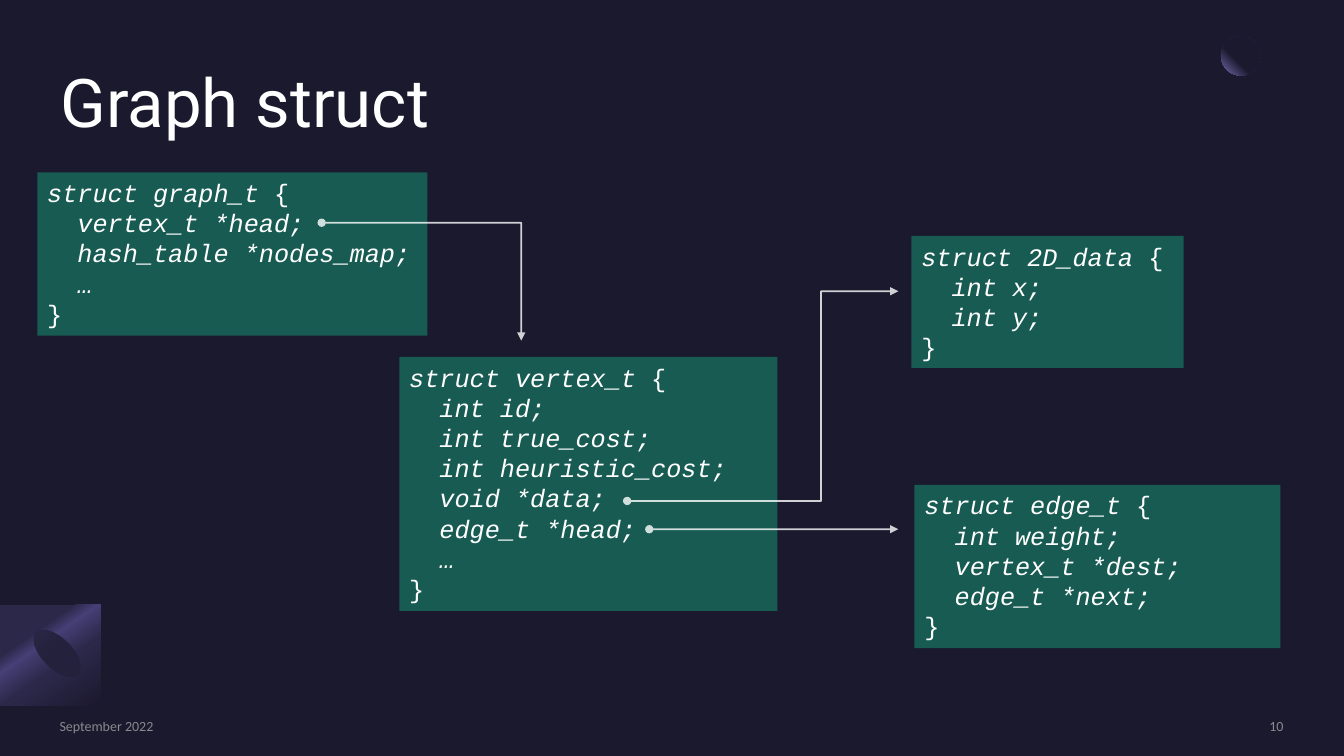
from lxml import etree
from pptx import Presentation
from pptx.dml.color import RGBColor
from pptx.enum.shapes import MSO_CONNECTOR, MSO_SHAPE
from pptx.enum.text import MSO_ANCHOR, MSO_AUTO_SIZE, PP_ALIGN
from pptx.oxml import parse_xml
from pptx.oxml.ns import nsdecls, qn
from pptx.util import Inches, Pt

RECTANGLE, OVAL = MSO_SHAPE.RECTANGLE, MSO_SHAPE.OVAL
STRAIGHT, ELBOW = MSO_CONNECTOR.STRAIGHT, MSO_CONNECTOR.ELBOW
TOP, MIDDLE = MSO_ANCHOR.TOP, MSO_ANCHOR.MIDDLE
LEFT, RIGHT = PP_ALIGN.LEFT, PP_ALIGN.RIGHT
NO_FIT, GROW = MSO_AUTO_SIZE.NONE, MSO_AUTO_SIZE.SHAPE_TO_FIT_TEXT

COLORS = {
    "night": "1B192E", "white": "FFFFFF", "green": "13BE89", "gray": "A6A6A6",
    "lilac": "7771B2", "violet": "454075", "plum": "2C284A", "shade": "23213C",
}

TITLE = ("Graph struct", (0.6, 0.6, 12.13, 0.91))

# Name, members and position of each struct
STRUCTS = [
    ("2D_data", ["int x;", "int y;"], (9.04, 2.34, 2.7, 1.31)),
    ("vertex_t", ["int id;", "int true_cost;", "int heuristic_cost;",
                  "void *data;", "edge_t *head;", "…"], (3.96, 3.54, 3.75, 2.52)),
    ("edge_t", ["int weight;", "vertex_t *dest;", "edge_t *next;"],
     (9.07, 4.81, 3.63, 1.62)),
    ("graph_t", ["vertex_t *head;", "hash_table *nodes_map;", "…"],
     (0.37, 1.71, 3.87, 1.62)),
]

# Kind, start, end and bend position in percent of the width
POINTERS = [
    (ELBOW, (6.22, 4.97), (8.91, 2.89), 71.5),
    (STRAIGHT, (6.44, 5.25), (8.91, 5.25), None),
    (ELBOW, (3.19, 2.21), (5.17, 3.38), 100),
]

FOOTERS = [
    ("September 2022", (0.59, 7.12, 2.88, 0.17), LEFT),
    ("10", (10.88, 7.12, 1.85, 0.17), RIGHT),
]

# Cone outline: the apex, then the curved base edge as Bezier segments
CONE_APEX = (0.95, 6.1)
CONE_BASE = [
    [(0.79, 6.66), (0.79, 6.67), (0.78, 6.68), (0.78, 6.69)],
    [(0.78, 6.69), (0.72, 6.75), (0.58, 6.7), (0.46, 6.59)],
    [(0.46, 6.59), (0.35, 6.47), (0.3, 6.33), (0.36, 6.27)],
    [(0.36, 6.27), (0.37, 6.26), (0.38, 6.26), (0.39, 6.25)],
]

CODE_FONT = {"name": "Courier New", "size": Pt(18)}
TITLE_FONT = {"name": "Roboto", "size": Pt(48)}
FOOTER_FONT = {"name": "Calibri", "size": Pt(10)}


def rgb(name):
    return RGBColor.from_string(COLORS[name])


def inches(values):
    return [Inches(value) for value in values]


def set_opacity(element, percent):
    for color in element.iter(qn("a:srgbClr")):
        etree.SubElement(color, qn("a:alpha"), val=str(percent * 1000))


def add_span(para, text, font, color, **extra):
    span = para.add_run()
    span.text = text
    for name, value in {**font, **extra}.items():
        setattr(span.font, name, value)
    span.font.color.rgb = rgb(color)


def format_frame(frame, anchor, fit, margin=None):
    frame.word_wrap = True
    frame.auto_size = fit
    frame.vertical_anchor = anchor
    if margin is not None:
        for side in ("left", "top", "right", "bottom"):
            setattr(frame, f"margin_{side}", margin)


def fill_gradient(shape, stops, direction):
    """Fill with (percent, color) stops along the given direction element."""
    marks = "".join(f'<a:gs pos="{place * 1000}"><a:srgbClr val="{COLORS[color]}"/></a:gs>'
                    for place, color in stops)
    shape.shadow.inherit = False
    shape.line.fill.background()
    shape.fill.background()
    blank = shape.element.spPr.find(qn("a:noFill"))
    gradient = parse_xml(f'<a:gradFill {nsdecls("a")} rotWithShape="1">'
                         f"<a:gsLst>{marks}</a:gsLst>{direction}</a:gradFill>")
    shape.element.spPr.replace(blank, gradient)


def linear(degrees):
    return f'<a:lin ang="{degrees * 60000}" scaled="0"/>'


def bezier_points(controls, steps=8):
    for step in range(1, steps + 1):
        t = step / steps
        weights = ((1 - t) ** 3, 3 * t * (1 - t) ** 2, 3 * t * t * (1 - t), t ** 3)
        yield tuple(sum(w * point[axis] for w, point in zip(weights, controls))
                    for axis in (0, 1))


def add_decoration(shapes):
    moon = shapes.add_shape(OVAL, *inches((12.11, 0.36, 0.39, 0.39)))
    fill_gradient(moon, [(60, "night"), (100, "lilac")],
                  '<a:path path="circle"><a:fillToRect l="100000" b="100000"/></a:path>')

    outline = shapes.build_freeform(*CONE_APEX, scale=Inches(1))
    edge = [CONE_BASE[0][0]]
    for controls in CONE_BASE:
        edge.extend(bezier_points(controls))
    outline.add_line_segments(edge, close=True)
    cone = outline.convert_to_shape()
    fill_gradient(cone, [(30, "plum"), (40, "violet"), (60, "plum"), (100, "night")],
                  linear(55))

    base = shapes.add_shape(OVAL, *inches((0.42, 6.19, 0.3, 0.59)))
    base.rotation = 135
    fill_gradient(base, [(50, "shade"), (100, "plum")], linear(90))


def add_struct(shapes, name, members, place):
    box = shapes.add_shape(RECTANGLE, *inches(place))
    box.shadow.inherit = False
    box.line.fill.background()
    box.fill.solid()
    box.fill.fore_color.rgb = rgb("green")
    set_opacity(box.element.spPr, 40)
    frame = box.text_frame
    format_frame(frame, TOP, GROW)
    lines = [[(f"struct {name} ", True), ("{", False)]]
    lines += [[(member, True)] for member in members]
    lines.append([("}", False)])
    for index, spans in enumerate(lines):
        para = frame.paragraphs[0] if index == 0 else frame.add_paragraph()
        para.alignment = LEFT
        if 0 < index < len(lines) - 1:
            para.element.get_or_add_pPr().set("marL", str(Inches(0.3))) if hasattr(
                para, "element") else para._p.get_or_add_pPr().set("marL", str(Inches(0.3)))
        for text, italic in spans:
            add_span(para, text, CODE_FONT, "white", italic=italic)


def add_pointer(shapes, kind, start, end, bend):
    pointer = shapes.add_connector(kind, *inches(start + end))
    pointer.line.width = Pt(1.25)
    pointer.line.color.rgb = rgb("white")
    properties = pointer.element.spPr
    set_opacity(properties, 80)
    line = properties.find(qn("a:ln"))
    etree.SubElement(line, qn("a:headEnd"), type="oval")
    etree.SubElement(line, qn("a:tailEnd"), type="triangle")
    etree.SubElement(properties, qn("a:effectLst"))
    if bend is not None:
        guides = properties.find(qn("a:prstGeom")).find(qn("a:avLst"))
        etree.SubElement(guides, qn("a:gd"), name="adj1", fmla=f"val {round(bend * 1000)}")


def add_footer(shapes, text, place, alignment):
    box = shapes.add_textbox(*inches(place))
    format_frame(box.text_frame, MIDDLE, NO_FIT, 0)
    para = box.text_frame.paragraphs[0]
    para.alignment = alignment
    para.space_after = Pt(6)
    add_span(para, text, FOOTER_FONT, "gray")
    set_opacity(box.element, 80)


def main():
    deck = Presentation()
    deck.slide_width, deck.slide_height = inches((13.33, 7.5))
    page = deck.slides.add_slide(deck.slide_layouts[5])
    page.background.fill.solid()
    page.background.fill.fore_color.rgb = rgb("night")
    add_decoration(page.shapes)

    # Title
    title = page.shapes.title
    title.left, title.top, title.width, title.height = inches(TITLE[1])
    format_frame(title.text_frame, TOP, NO_FIT, 0)
    title.text_frame.paragraphs[0].alignment = LEFT
    add_span(title.text_frame.paragraphs[0], TITLE[0], TITLE_FONT, "white")

    # Structs, pointers between them, and footers
    for struct in STRUCTS:
        add_struct(page.shapes, *struct)
    for pointer in POINTERS:
        add_pointer(page.shapes, *pointer)
    for footer in FOOTERS:
        add_footer(page.shapes, *footer)
    deck.save("out.pptx")


if __name__ == "__main__":
    main()
